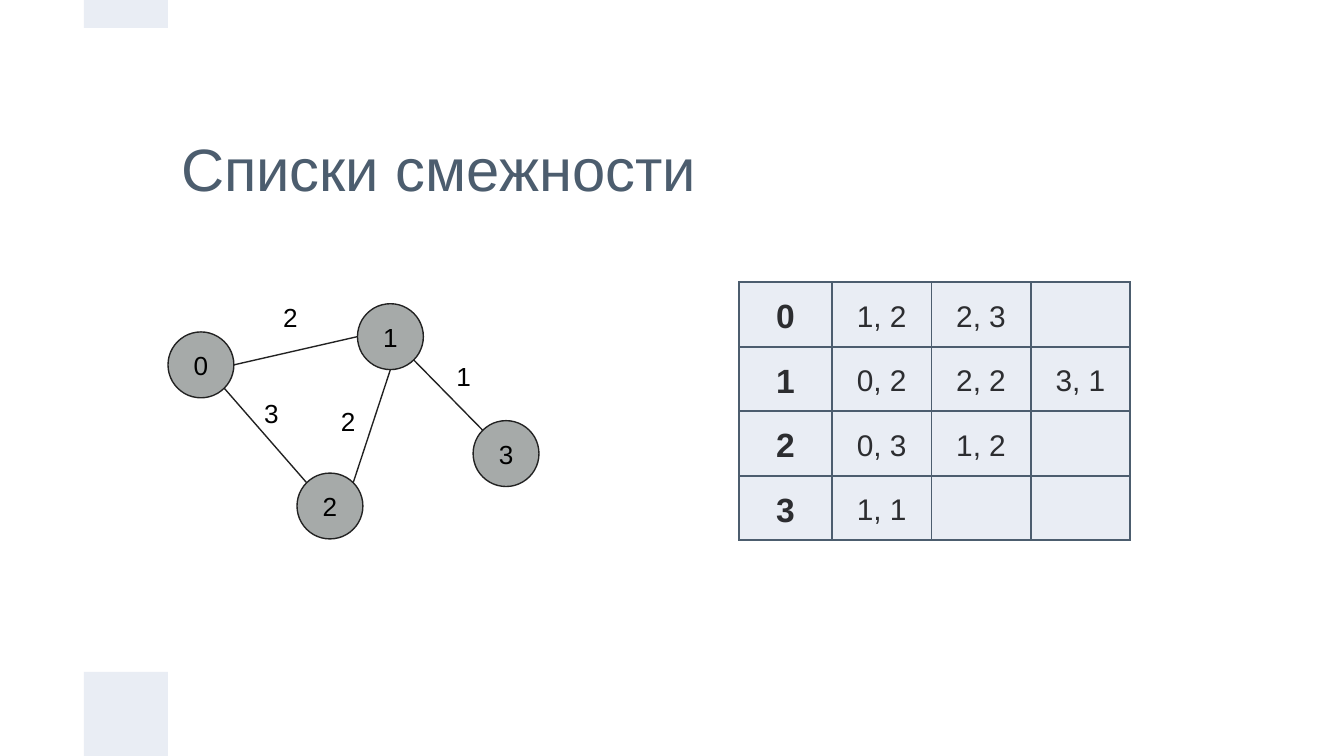
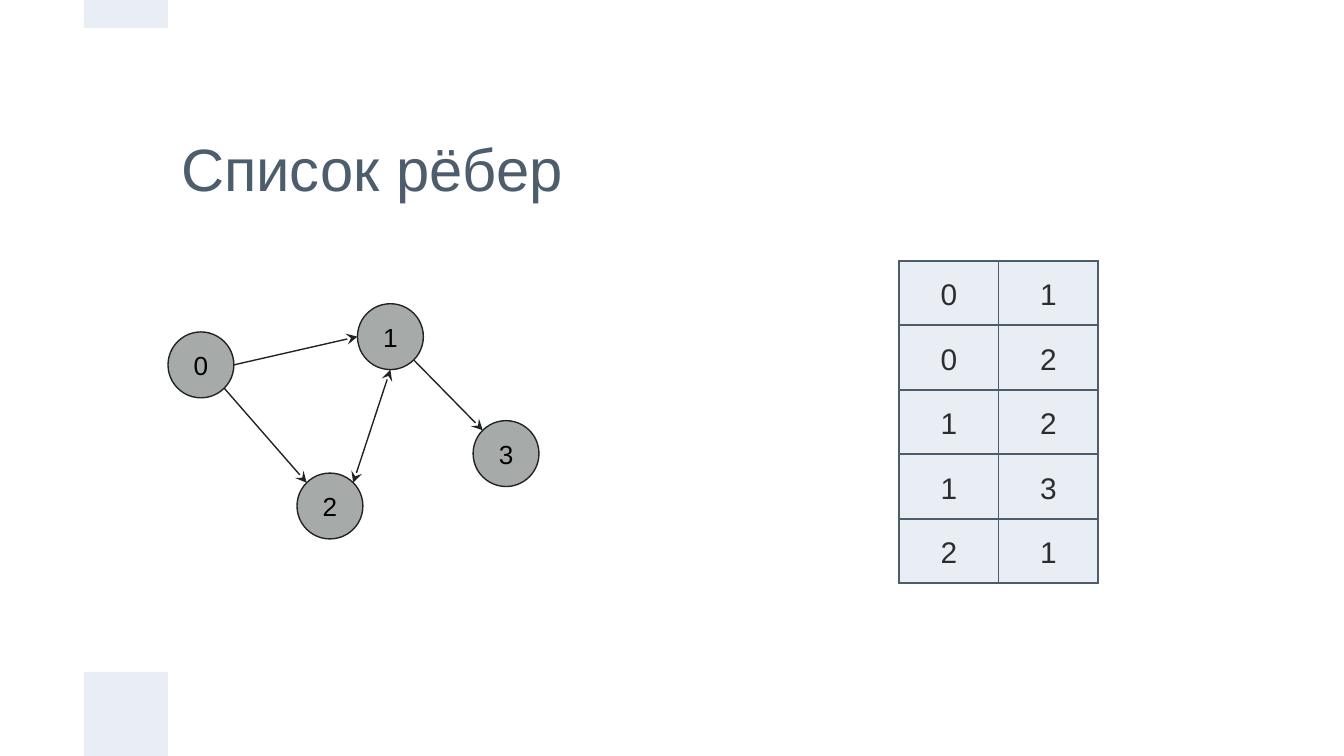
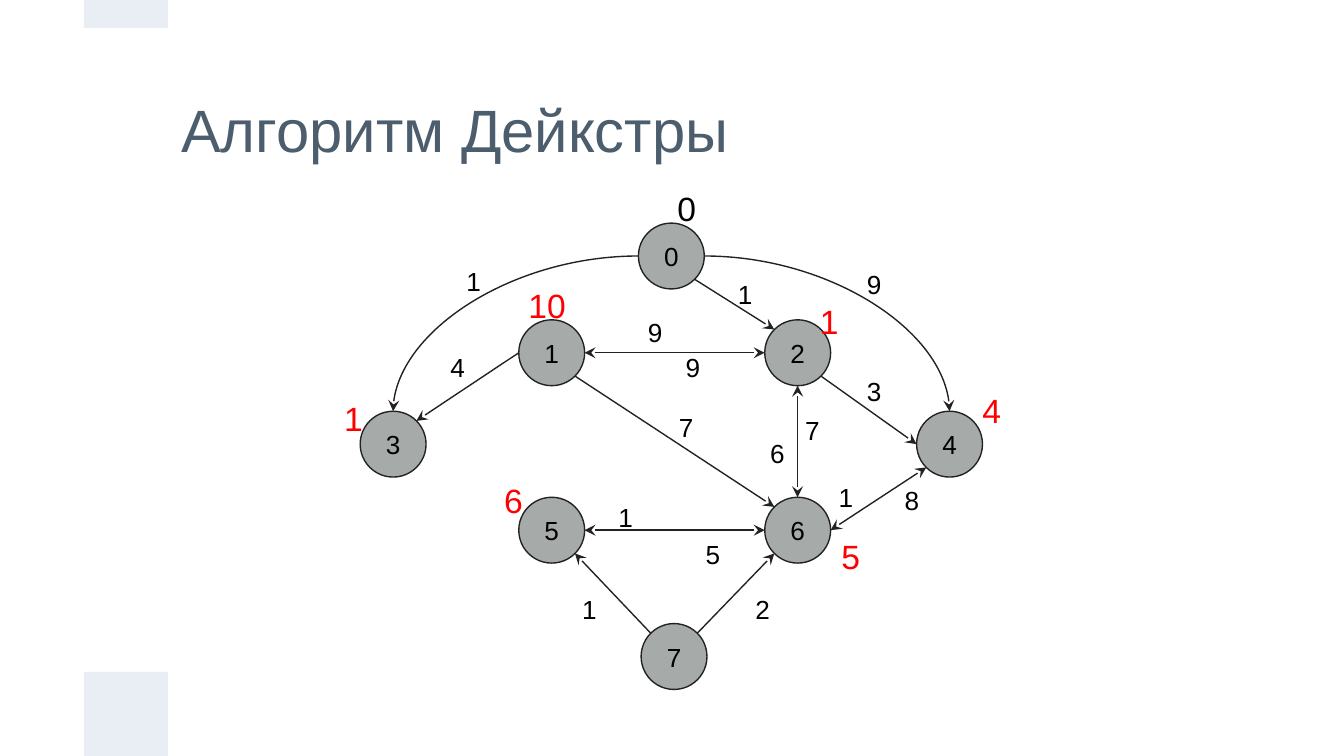
from lxml.etree import SubElement
from pptx import Presentation
from pptx.dml.color import RGBColor
from pptx.enum.shapes import MSO_CONNECTOR as Connector, MSO_SHAPE as Preset
from pptx.enum.text import MSO_ANCHOR as Anchor, PP_ALIGN as Align
from pptx.oxml.ns import qn
from pptx.util import Inches, Pt

PALE = RGBColor(0xE9, 0xED, 0xF4)
SLATE = RGBColor(0x4C, 0x5D, 0x6E)
INK = RGBColor(0x2C, 0x2D, 0x30)
NODE_GRAY = RGBColor(0xA6, 0xAA, 0xA9)
EDGE_DARK = RGBColor(0x22, 0x22, 0x22)
BLACK = RGBColor(0, 0, 0)
RED = RGBColor(0xFF, 0, 0)

FONT = "Arial"
SLIDE_WIDTH = 10
SLIDE_HEIGHT = SLIDE_WIDTH * 9 / 16
UNIT = SLIDE_WIDTH / 16
INSET = 0.1
NODE_SIZE = 0.49
DIAGONAL = 0.5 ** 0.5
SITES = {
    "left": (-1, 0), "right": (1, 0), "top": (0, -1), "bottom": (0, 1),
    "top left": (-DIAGONAL, -DIAGONAL), "top right": (DIAGONAL, -DIAGONAL),
    "bottom left": (-DIAGONAL, DIAGONAL), "bottom right": (DIAGONAL, DIAGONAL),
}
ROW_HEIGHT = 0.48
KEY_WIDTH, PAIR_WIDTH = 0.69, 0.74

SMALL_NODES = {"0": (1.25, 2.47), "1": (2.66, 2.26), "2": (2.21, 3.52), "3": (3.52, 3.13)}
SMALL_EDGES = [
    ("0", "bottom right", "2", "top left", "->"),
    ("0", "right", "1", "left", "->"),
    ("1", "bottom right", "3", "top left", "->"),
    ("1", "bottom", "2", "top right", "<->"),
]
SMALL_WEIGHTS = [("2", 1.9, 2.11), ("3", 1.76, 2.82), ("2", 2.33, 2.88), ("1", 3.19, 2.55)]
ADJACENCY = [
    ["0", "1, 2", "2, 3", ""],
    ["1", "0, 2", "2, 2", "3, 1"],
    ["2", "0, 3", "1, 2", ""],
    ["3", "1, 1", "", ""],
]
EDGE_LIST = [["0", "1"], ["0", "2"], ["1", "2"], ["1", "3"], ["2", "1"]]

DIJKSTRA_NODES = {
    "0": (4.75, 1.66), "1": (3.86, 2.38), "2": (5.69, 2.38), "3": (2.68, 3.06),
    "4": (6.82, 3.06), "5": (3.86, 3.7), "6": (5.69, 3.7), "7": (4.77, 4.64),
}
DIJKSTRA_EDGES = [
    ("0", "bottom right", "2", "top left", "->"),
    ("2", "bottom right", "4", "left", "->"),
    ("1", "left", "3", "top right", "->"),
    ("1", "bottom right", "6", "top left", "->"),
    ("1", "right", "2", "left", "<->"),
    ("2", "bottom", "6", "top", "<->"),
    ("4", "bottom left", "6", "right", "<->"),
    ("6", "left", "5", "right", "<->"),
    ("7", "top left", "5", "bottom right", "->"),
    ("7", "top right", "6", "bottom left", "->"),
]
DIJKSTRA_ARCS = [("0", "right", "4", "top", "->"), ("0", "left", "3", "top", "->")]
DIJKSTRA_WEIGHTS = [
    ("1", 3.34, 1.87), ("2", 5.49, 4.31), ("9", 4.97, 2.51), ("9", 4.69, 2.25),
    ("3", 6.32, 2.69), ("9", 6.32, 1.89), ("1", 5.36, 1.97), ("4", 3.22, 2.51),
    ("8", 6.6, 3.5), ("1", 6.11, 3.48), ("7", 5.86, 2.98), ("6", 5.6, 3.15),
    ("7", 4.92, 2.96), ("1", 4.2, 4.31), ("5", 5.12, 3.9), ("1", 4.47, 3.63),
]
DISTANCES = [
    ("0", 4.89, 1.36, 0.44, BLACK), ("1", 2.41, 2.92, 0.44, RED),
    ("1", 5.95, 2.2, 0.44, RED), ("4", 7.16, 2.86, 0.44, RED),
    ("10", 3.78, 2.08, 0.58, RED), ("5", 6.11, 3.95, 0.44, RED),
    ("6", 3.6, 3.53, 0.44, RED),
]


def write_run(paragraph, text, size, color, bold=False):
    """Add one styled run to a paragraph."""
    run = paragraph.add_run()
    run.text = text
    run.font.name = FONT
    run.font.size = Pt(size)
    run.font.bold = bold
    run.font.color.rgb = color


def fill_frame(shape, text, size, color, align):
    """Write one vertically centred line into a shape."""
    frame = shape.text_frame
    frame.word_wrap = True
    frame.vertical_anchor = Anchor.MIDDLE
    frame.margin_left = frame.margin_right = Inches(INSET)
    frame.margin_top = frame.margin_bottom = Inches(INSET)
    paragraph = frame.paragraphs[0]
    paragraph.alignment = align
    write_run(paragraph, text, size, color)


def add_label(slide, text, box, size=14, color=BLACK, align=Align.CENTER):
    """Add a text box at left, top, width, height."""
    shape = slide.shapes.add_textbox(*map(Inches, box))
    fill_frame(shape, text, size, color, align)


def add_title(slide, text, height=2 * UNIT):
    """Add the slide title."""
    add_label(slide, text, (2 * UNIT, UNIT, 12 * UNIT, height), 32, SLATE, Align.LEFT)


def add_filled(slide, preset, box, color):
    """Add a preset shape with a plain fill and no outline."""
    shape = slide.shapes.add_shape(preset, *map(Inches, box))
    shape.shadow.inherit = False
    shape.fill.solid()
    shape.fill.fore_color.rgb = color
    shape.line.fill.background()
    return shape


def add_bands(slide):
    """Draw both bands and hand them to the layout that all slides share."""
    for top, height in ((SLIDE_HEIGHT - UNIT, UNIT), (0, UNIT / 3)):
        band = add_filled(slide, Preset.RECTANGLE, (UNIT, top, UNIT, height), PALE)
        slide.slide_layout.shapes.element.append(band.element)


def style_line(line):
    """Give an outline the thin dark stroke of the graphs."""
    line.color.rgb = EDGE_DARK
    line.width = Pt(0.75)


def add_node(slide, name, left, top):
    """Add a round graph node with its name."""
    node = add_filled(slide, Preset.OVAL, (left, top, NODE_SIZE, NODE_SIZE), NODE_GRAY)
    style_line(node.line)
    fill_frame(node, name, 14, BLACK, Align.CENTER)


def site_point(corner, site):
    """Return the point of a node's rim that a site names."""
    radius = NODE_SIZE / 2
    return [Inches(start + radius * (1 + step)) for start, step in zip(corner, SITES[site])]


def add_edge(slide, nodes, edge, directed, curved=False):
    """Connect two nodes, with arrowheads when the graph is directed."""
    source, source_site, target, target_site, arrow = edge
    kind = Connector.CURVE if curved else Connector.STRAIGHT
    connector = slide.shapes.add_connector(
        kind, *site_point(nodes[source], source_site), *site_point(nodes[target], target_site))
    style_line(connector.line)
    properties = connector.element.spPr
    if curved:
        properties.find(qn("a:prstGeom")).set("prst", "curvedConnector2")
    if directed:
        ends = ("a:headEnd", "a:tailEnd") if arrow == "<->" else ("a:tailEnd",)
        for end in ends:
            SubElement(properties.find(qn("a:ln")), qn(end), type="stealth")
    SubElement(properties, qn("a:effectLst"))


def add_graph(slide, nodes, edges, directed, arcs=()):
    """Draw the nodes of a graph, its straight edges and its arcs."""
    for name, corner in nodes.items():
        add_node(slide, name, *corner)
    for edge in edges:
        add_edge(slide, nodes, edge, directed)
    for arc in arcs:
        add_edge(slide, nodes, arc, directed, curved=True)


def style_cell(cell):
    """Give a table cell its borders, fill and margins."""
    properties = cell._tc.get_or_add_tcPr()
    for side in ("a:lnL", "a:lnR", "a:lnT", "a:lnB"):
        border = SubElement(properties, qn(side), w=str(Pt(1)))
        SubElement(SubElement(border, qn("a:solidFill")), qn("a:srgbClr"), val=str(SLATE))
    cell.fill.solid()
    cell.fill.fore_color.rgb = PALE
    cell.vertical_anchor = Anchor.MIDDLE
    cell.margin_left = cell.margin_right = Inches(0.07)
    cell.margin_top = cell.margin_bottom = 0


def add_grid(slide, left, top, widths, rows, keyed=False):
    """Add a table of centred values, with a bold first column when keyed."""
    frame = slide.shapes.add_table(
        len(rows), len(widths), Inches(left), Inches(top),
        Inches(sum(widths)), Inches(ROW_HEIGHT * len(rows)))
    table = frame.table
    table.first_row = table.horz_banding = False
    for column, width in zip(table.columns, widths):
        column.width = Inches(width)
    for row, values in zip(table.rows, rows):
        row.height = Inches(ROW_HEIGHT)
        for index, (cell, value) in enumerate(zip(row.cells, values)):
            style_cell(cell)
            if value:
                is_key = keyed and index == 0
                paragraph = cell.text_frame.paragraphs[0]
                paragraph.alignment = Align.CENTER
                paragraph.line_spacing = 1.15
                write_run(paragraph, value, 18 if is_key else 16, INK, is_key)


def build_adjacency(slide):
    """Build the slide on adjacency lists."""
    add_title(slide, "Списки смежности")
    add_grid(slide, 5.5, 2.1, [KEY_WIDTH] + [PAIR_WIDTH] * 3, ADJACENCY, keyed=True)
    add_graph(slide, SMALL_NODES, SMALL_EDGES, directed=False)
    for weight, left, top in SMALL_WEIGHTS:
        add_label(slide, weight, (left, top, 0.52, 0.5))


def build_edge_list(slide):
    """Build the slide on the edge list."""
    add_title(slide, "Список рёбер")
    add_grid(slide, 6.69, 1.94, [PAIR_WIDTH] * 2, EDGE_LIST)
    add_graph(slide, SMALL_NODES, SMALL_EDGES, directed=True)


def build_dijkstra(slide):
    """Build the slide on shortest distances."""
    add_graph(slide, DIJKSTRA_NODES, DIJKSTRA_EDGES, directed=True, arcs=DIJKSTRA_ARCS)
    for weight, left, top in DIJKSTRA_WEIGHTS:
        add_label(slide, weight, (left, top, 0.37, 0.44))
    add_title(slide, "Алгоритм Дейкстры", height=0.67)
    for distance, left, top, width, color in DISTANCES:
        add_label(slide, distance, (left, top, width, 0.38), 18, color)


def main():
    """Build the presentation and save it."""
    presentation = Presentation()
    presentation.slide_width = Inches(SLIDE_WIDTH)
    presentation.slide_height = Inches(SLIDE_HEIGHT)
    blank = presentation.slide_layouts[6]
    builders = (build_adjacency, build_edge_list, build_dijkstra)
    slides = [presentation.slides.add_slide(blank) for _ in builders]
    add_bands(slides[0])
    for build, slide in zip(builders, slides):
        build(slide)
    presentation.save("out.pptx")


if __name__ == "__main__":
    main()
